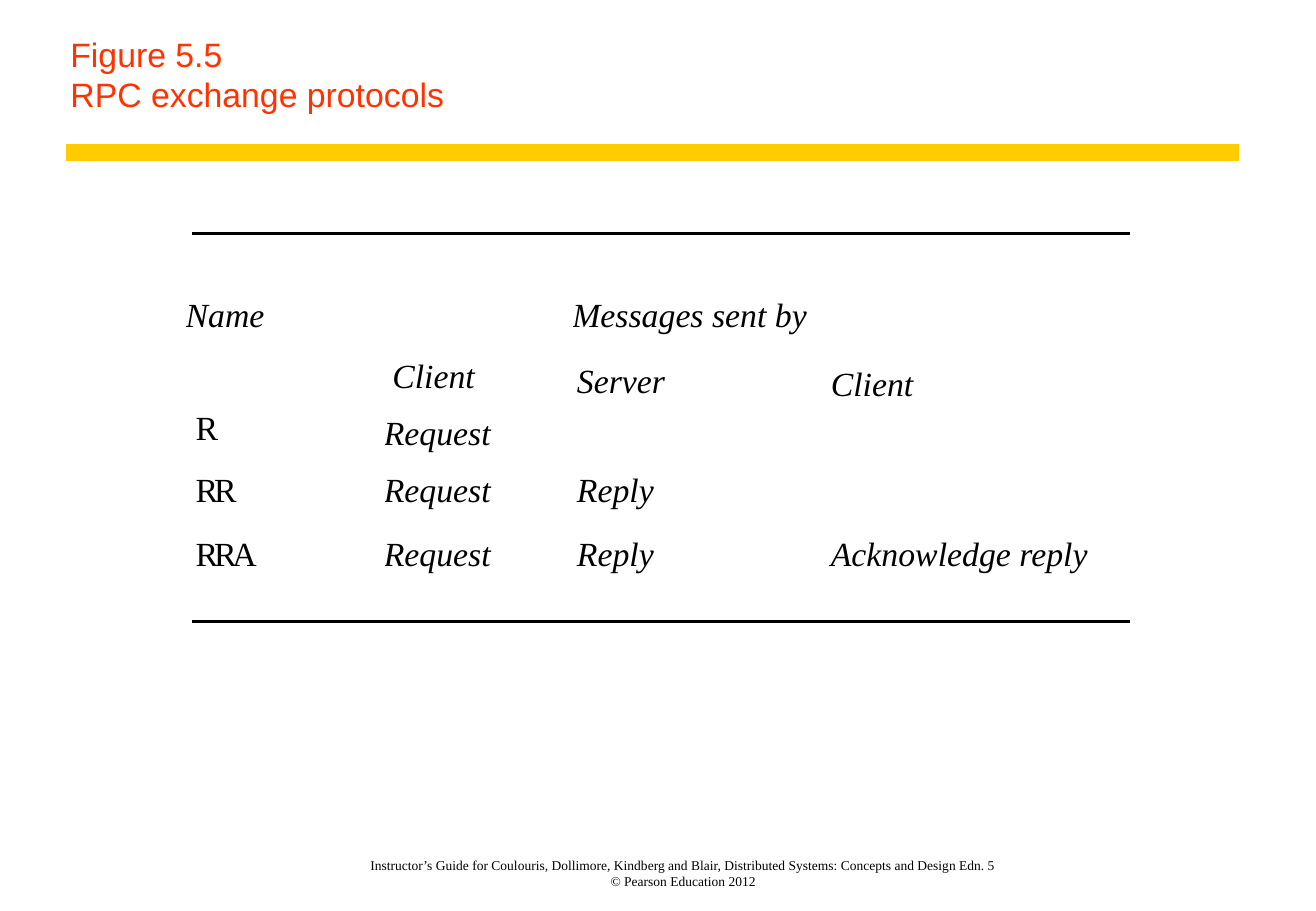
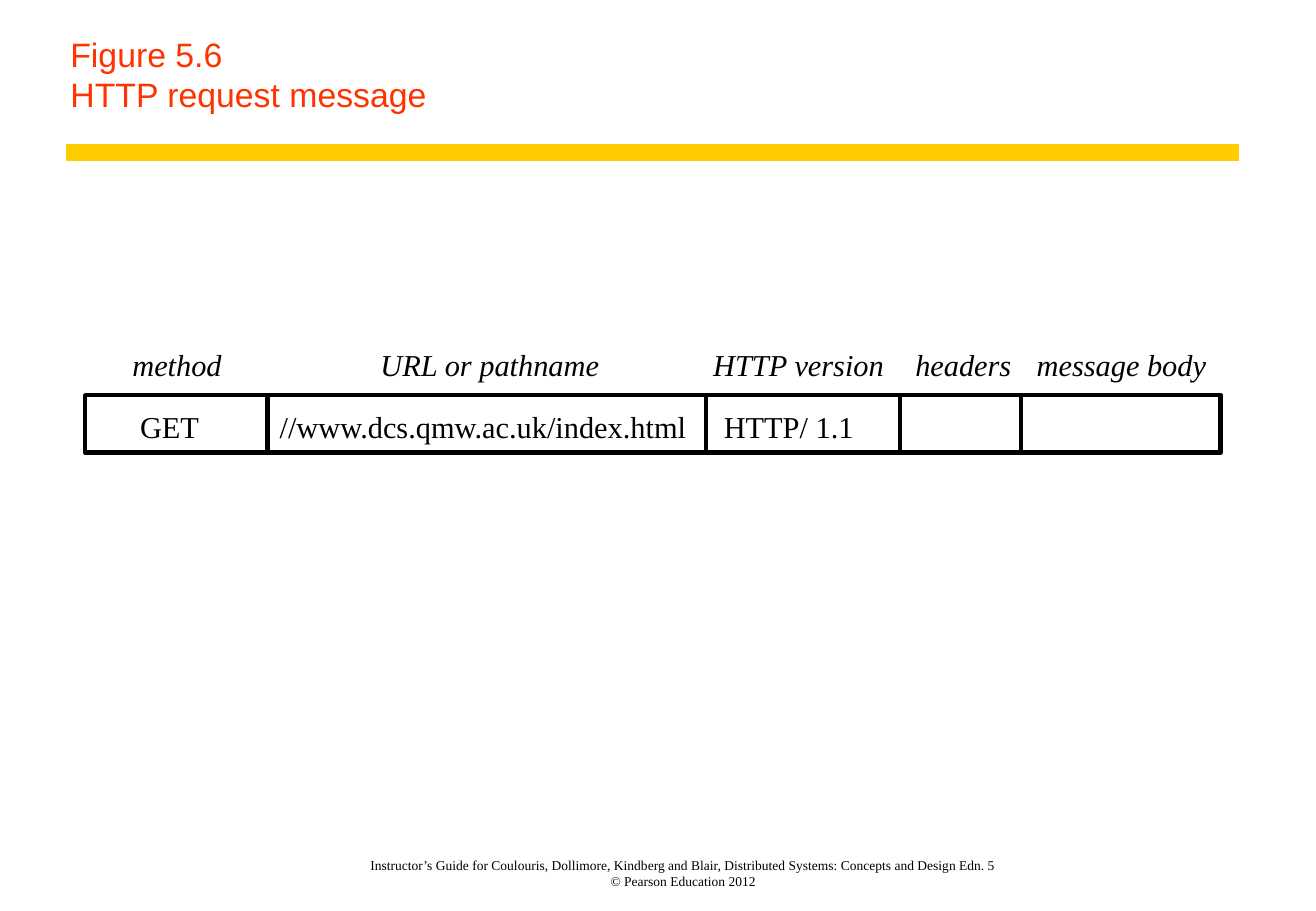
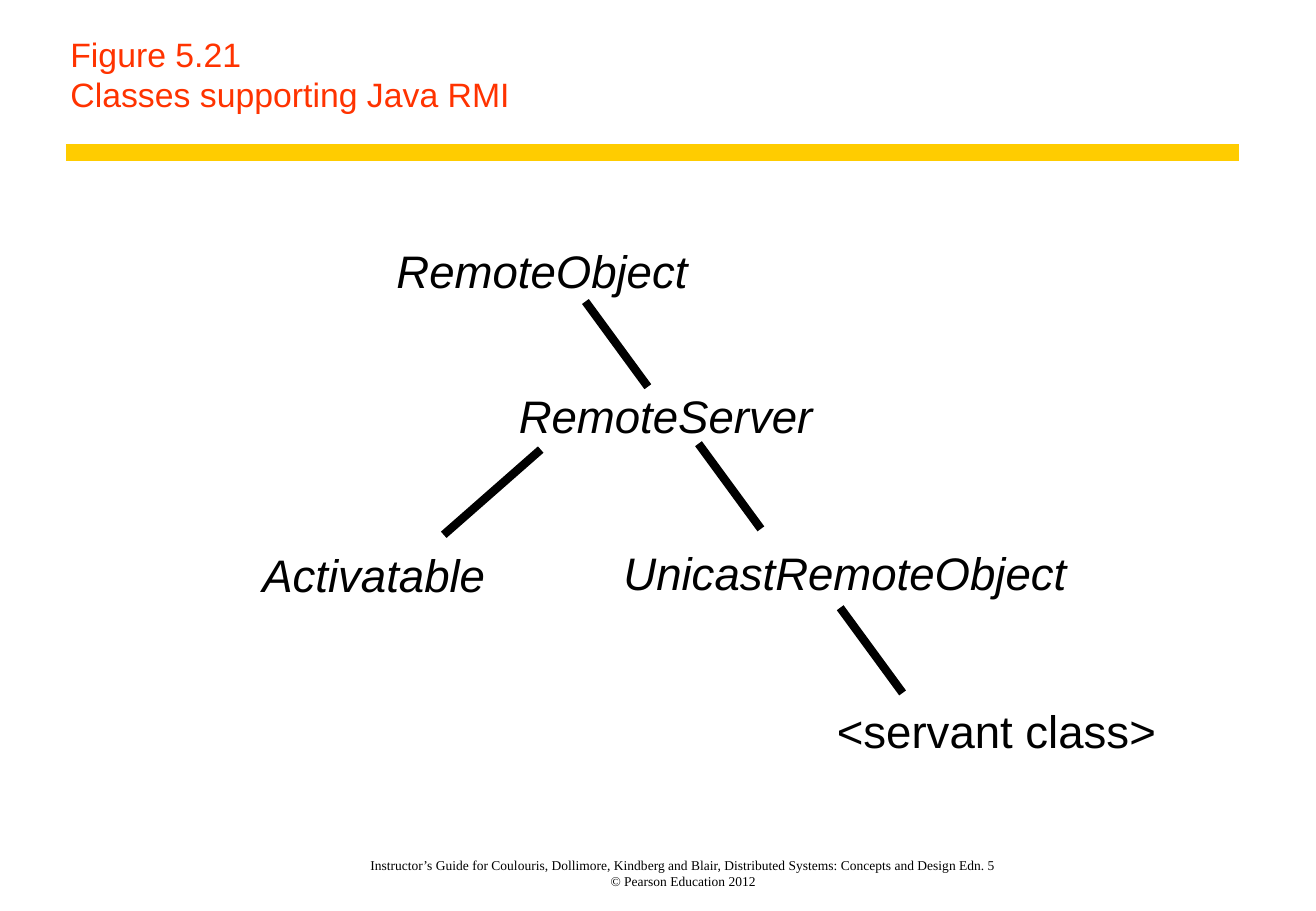
from lxml import etree
from pptx import Presentation
from pptx.dml.color import RGBColor
from pptx.enum.shapes import MSO_CONNECTOR, MSO_SHAPE
from pptx.enum.text import MSO_ANCHOR, PP_ALIGN
from pptx.oxml.ns import qn
from pptx.util import Pt

STRAIGHT = MSO_CONNECTOR.STRAIGHT
RECTANGLE = MSO_SHAPE.RECTANGLE
TOP, BOTTOM = MSO_ANCHOR.TOP, MSO_ANCHOR.BOTTOM
LEFT, CENTER = PP_ALIGN.LEFT, PP_ALIGN.CENTER

BLACK = RGBColor(0x00, 0x00, 0x00)
TITLE_RED = RGBColor(0xFF, 0x33, 0x00)
BAND_YELLOW = RGBColor(0xFF, 0xCC, 0x00)
SANS, SERIF = "Arial", "Times New Roman"

FOOTER = [
    "Instructor’s Guide for Coulouris, Dollimore, Kindberg and Blair, "
    "Distributed Systems: Concepts and Design Edn. 5",
    "© Pearson Education 2012",
]


def style(para, face, size, color=BLACK, italic=False):
    para.font.name = face
    para.font.size = Pt(size)
    para.font.color.rgb = color
    para.font.italic = italic


def add_text(page, lines, left, top, width, height, face, size, color=BLACK,
             italic=False, align=LEFT, anchor=TOP, margins=(0, 0, 0, 0), wrap=False):
    """Add a one-paragraph text box, broken by lines; margins run left, top, right, bottom."""
    box = page.shapes.add_textbox(Pt(left), Pt(top), Pt(width), Pt(height))
    frame = box.text_frame
    frame.word_wrap = wrap
    frame.vertical_anchor = anchor
    (frame.margin_left, frame.margin_top,
     frame.margin_right, frame.margin_bottom) = map(Pt, margins)
    para = frame.paragraphs[0]
    for number, line in enumerate(lines):
        if number:
            para.add_line_break()
        para.add_run().text = line
    para.alignment = align
    style(para, face, size, color, italic)


def add_line(page, x1, y1, x2, y2, width, color=BLACK):
    line = page.shapes.add_connector(STRAIGHT, Pt(x1), Pt(y1), Pt(x2), Pt(y2))
    line.line.color.rgb = color
    line.line.width = Pt(width)
    etree.SubElement(line._element.spPr, qn("a:effectLst"))


def add_page(deck, *title_lines):
    """Add a slide with the shared title, band and footer."""
    page = deck.slides.add_slide(deck.slide_layouts[6])
    add_text(page, FOOTER, 169, 499, 475, 28, SERIF, 8, align=CENTER,
             anchor=BOTTOM, margins=(0, 0, 3, 0), wrap=True)
    add_line(page, 39, 90.25, 734.5, 90.25, 10, BAND_YELLOW)
    add_text(page, title_lines, 34.5, 0.5, 700, 72, SANS, 20, TITLE_RED,
             anchor=BOTTOM, margins=(7.25, 4.5, 10, 4.5), wrap=True)
    return page


def fill_cell(cell, text, indent=0, drop=0, italic=True, spacing=0):
    cell.margin_left, cell.margin_top = Pt(indent), Pt(drop)
    cell.text = text
    para = cell.text_frame.paragraphs[0]
    style(para, SERIF, 20, italic=italic)
    if spacing:
        para.runs[0]._r.get_or_add_rPr().set("spc", str(int(spacing * 100)))


def add_protocol_table(page):
    column_widths = [117.5, 111.5, 150.5, 180]
    row_heights = [36, 31, 36.5, 38, 26]
    table = page.shapes.add_table(
        len(row_heights), len(column_widths), Pt(110), Pt(176.5),
        Pt(sum(column_widths)), Pt(sum(row_heights))).table
    table.first_row = table.horz_banding = False
    for column, width in zip(table.columns, column_widths):
        column.width = Pt(width)
    for row, height in zip(table.rows, row_heights):
        row.height = Pt(height)
    for cell in table.iter_cells():
        cell.fill.background()
        cell.margin_left = cell.margin_top = cell.margin_right = cell.margin_bottom = 0

    table.cell(0, 2).merge(table.cell(0, 3))
    fill_cell(table.cell(0, 0), "Name")
    fill_cell(table.cell(0, 2), "Messages sent by", indent=0.25)
    senders = [("Client", 5, 0), ("Server", 3, 3), ("Client", 3, 4.5)]
    for column, (sender, indent, drop) in enumerate(senders, 1):
        fill_cell(table.cell(1, column), sender, indent, drop)

    protocols = [
        ("R", ["Request"], 2.5),
        ("RR", ["Request", "Reply"], 0),
        ("RRA", ["Request", "Reply", "Acknowledge reply"], 0),
    ]
    message_indents = [0, 3, 3]
    for row, (name, messages, drop) in enumerate(protocols, 2):
        fill_cell(table.cell(row, 0), name, indent=6, italic=False, spacing=-2.5)
        for column, (message, indent) in enumerate(zip(messages, message_indents), 1):
            fill_cell(table.cell(row, column), message, indent, drop)


def build_protocols(deck):
    page = add_page(deck, "Figure 5.5", "RPC exchange protocols")
    for y in (138.5, 368.5):
        add_line(page, 114, y, 670, y, 2)
    add_protocol_table(page)


def build_request_message(deck):
    page = add_page(deck, "Figure 5.6", "HTTP request message")
    left, top, width, height = 50.5, 234.25, 673, 34
    frame = page.shapes.add_shape(RECTANGLE, Pt(left), Pt(top), Pt(width), Pt(height))
    frame.shadow.inherit = False
    frame.fill.background()
    frame.line.color.rgb = BLACK
    frame.line.width = Pt(2.64)
    for x in (158.5, 418.5, 533.5, 605.25):
        add_line(page, x, top, x, top + height, 2.64)

    labels = [("method", 78.5, 55), ("URL or pathname", 225.5, 132),
              ("HTTP version", 422.75, 103), ("headers", 542.5, 59),
              ("message body", 614.5, 103)]
    values = [("GET", 83, 37), ("//www.dcs.qmw.ac.uk/index.html", 165.75, 245),
              ("HTTP/ 1.1", 429, 79)]
    for y, items, italic in ((205, labels, True), (242, values, False)):
        for text, x, text_width in items:
            add_text(page, [text], x, y, text_width, 21.5, SERIF, 18, italic=italic)


def build_class_tree(deck):
    page = add_page(deck, "Figure 5.21", "Classes supporting Java RMI")
    classes = [
        ("RemoteObject", 235, 144, 182, True),
        ("RemoteServer", 307.5, 230, 180, True),
        ("Activatable", 155.5, 324, 136, True),
        ("UnicastRemoteObject", 369.5, 323, 267, True),
        ("<servant class>", 496, 416.5, 193, False),
    ]
    for name, x, y, width, italic in classes:
        add_text(page, [name], x, y, width, 32.5, SANS, 27, italic=italic)
    add_line(page, 320.5, 266.5, 263, 317, 5)
    for x, y in ((347, 178.75), (414, 263), (498, 360.25)):
        add_line(page, x, y, x + 37, y + 50.5, 5)


def main():
    deck = Presentation()
    deck.slide_width, deck.slide_height = Pt(780), Pt(540)
    build_protocols(deck)
    build_request_message(deck)
    build_class_tree(deck)
    deck.save("out.pptx")


if __name__ == "__main__":
    main()
